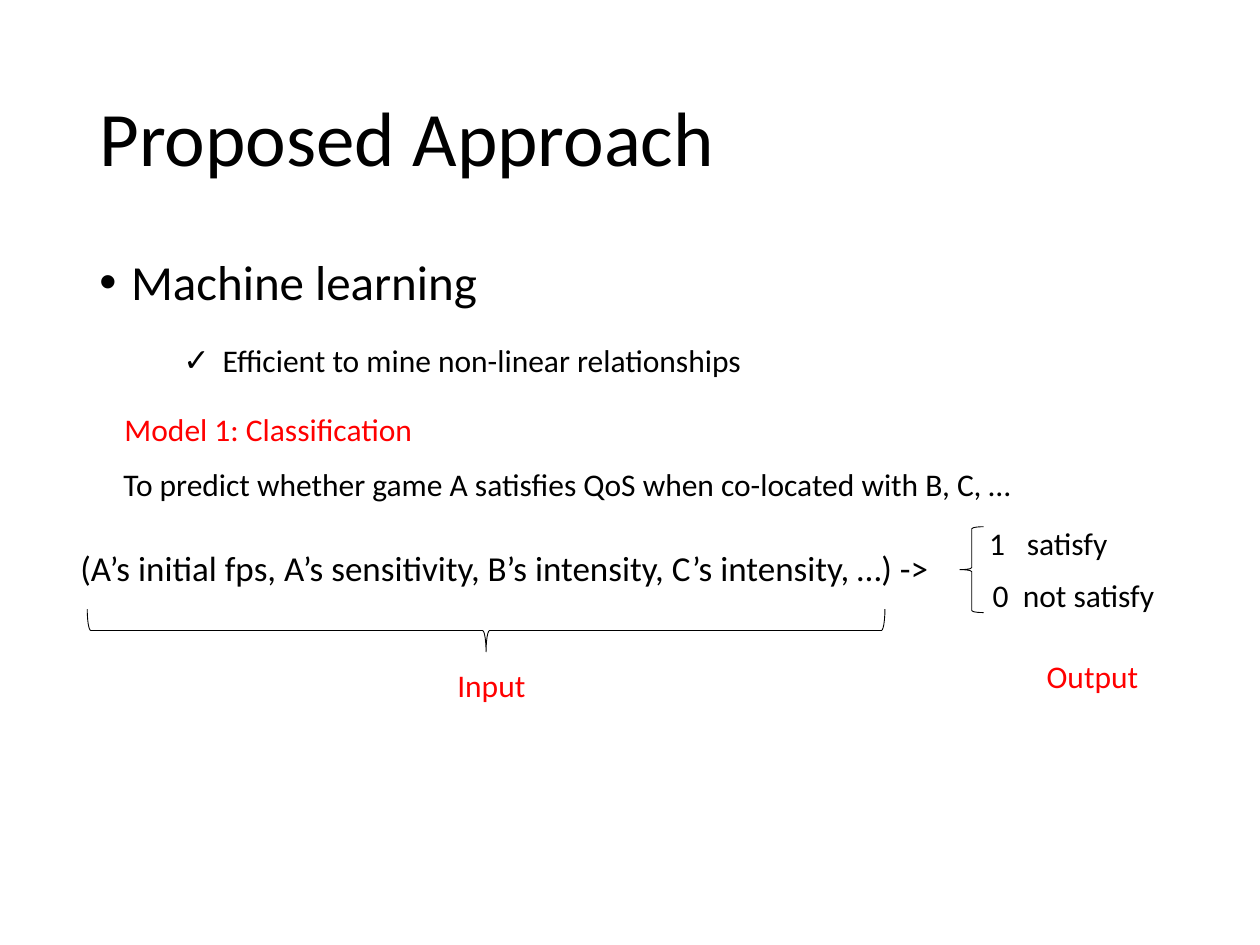
from lxml import etree
from pptx import Presentation
from pptx.dml.color import RGBColor
from pptx.enum.shapes import MSO_SHAPE
from pptx.enum.text import MSO_ANCHOR, MSO_AUTO_SIZE, PP_ALIGN
from pptx.oxml.ns import qn
from pptx.util import Cm, Pt

LEFT_BRACE = MSO_SHAPE.LEFT_BRACE
LEFT = PP_ALIGN.LEFT
TOP, MIDDLE = MSO_ANCHOR.TOP, MSO_ANCHOR.MIDDLE
NO_FIT, GROW = MSO_AUTO_SIZE.NONE, MSO_AUTO_SIZE.SHAPE_TO_FIT_TEXT

COLORS = {"text": "000000", "accent": "FF0000", "line": "000000"}
FONT = "Calibri"
LINE_HEIGHT = 1.02  # height of an 18 pt text box, cm


def set_all(target, values):
    for name, value in values.items():
        setattr(target, name, value)


def add_bullet(paragraph, char, indent):
    props = paragraph._p.get_or_add_pPr()
    props.set("marL", str(Cm(indent)))
    props.set("indent", str(-Cm(indent)))
    etree.SubElement(props, qn("a:buFont"), typeface="Arial")
    etree.SubElement(props, qn("a:buChar"), char=char)


def add_tab_stop(paragraph, position):
    props = paragraph._p.get_or_add_pPr()
    tabs = etree.SubElement(props, qn("a:tabLst"))
    etree.SubElement(tabs, qn("a:tab"), pos=str(Cm(position)), algn="l")


def write(paragraph, text, size, color="text"):
    run = paragraph.add_run()
    run.text = text
    set_all(run.font, {"name": FONT, "size": Pt(size)})
    run.font.color.rgb = RGBColor.from_string(COLORS[color])


def place(shape, left, top, width, height):
    set_all(shape, {"left": Cm(left), "top": Cm(top),
                    "width": Cm(width), "height": Cm(height)})


def fill_placeholder(shape, box, text, size, anchor, bullet=None):
    place(shape, *box)
    set_all(shape.text_frame, {"vertical_anchor": anchor, "word_wrap": True,
                               "auto_size": NO_FIT})
    paragraph = shape.text_frame.paragraphs[0]
    if bullet:
        add_bullet(paragraph, bullet, 0.64)
    set_all(paragraph, {"alignment": LEFT, "line_spacing": 0.9,
                        "space_before": Pt(0)})
    write(paragraph, text, size)


def add_label(slide, left, top, width, text, size=18, color="text",
              height=LINE_HEIGHT, wrap=True, bullet=None, tab=None):
    label = slide.shapes.add_textbox(Cm(left), Cm(top), Cm(width), Cm(height))
    set_all(label.text_frame, {"word_wrap": wrap, "auto_size": GROW})
    paragraph = label.text_frame.paragraphs[0]
    if bullet:
        add_bullet(paragraph, bullet, 0.79)
    if tab:
        add_tab_stop(paragraph, tab)
    write(paragraph, text, size, color)


def add_brace(slide, left, top, width, height, rotation=0):
    brace = slide.shapes.add_shape(LEFT_BRACE, Cm(left), Cm(top),
                                   Cm(width), Cm(height))
    brace.rotation = rotation
    brace.shadow.inherit = False
    brace.fill.background()
    brace.line.color.rgb = RGBColor.from_string(COLORS["line"])
    brace.line.width = Pt(0.5)


def main():
    prs = Presentation()
    set_all(prs, {"slide_width": Cm(25.4), "slide_height": Cm(19.05)})
    slide = prs.slides.add_slide(prs.slide_layouts[1])

    # Title and main point
    title, body = slide.placeholders
    fill_placeholder(title, (1.75, 1.02, 21.89, 3.68),
                     "Proposed Approach", 44, MIDDLE)
    fill_placeholder(body, (1.75, 5.08, 23.5, 1.7),
                     "Machine learning", 28, TOP, bullet="•")
    add_label(slide, 3.45, 6.76, 18.29,
              "Efficient to mine non-linear relationships", bullet="✓")

    # Model description
    add_label(slide, 2.26, 8.15, 6.71, "Model 1: Classification",
              color="accent")
    add_label(slide, 2.24, 9.25, 18.62,
              "To predict whether game A satisfies QoS when "
              "co-located with B, C, …", wrap=False)

    # Model input
    add_label(slide, 1.37, 10.9, 17.81,
              "(A’s initial fps, A’s sensitivity, B’s intensity, "
              "C’s intensity, …) ->", size=20, height=1.12, wrap=False)
    add_brace(slide, 9.37, 4.67, 0.86, 16.08, rotation=270)
    add_label(slide, 8.97, 13.31, 3.35, "Input", color="accent")

    # Model output
    add_label(slide, 20.85, 13.13, 3.35, "Output", color="accent")
    add_label(slide, 19.69, 10.44, 3.58, "1\tsatisfy", tab=0.76)
    add_label(slide, 19.76, 11.48, 4.6, "0\tnot satisfy", tab=0.61)
    add_brace(slide, 19.35, 10.62, 0.48, 1.73)

    prs.save("out.pptx")


if __name__ == "__main__":
    main()
